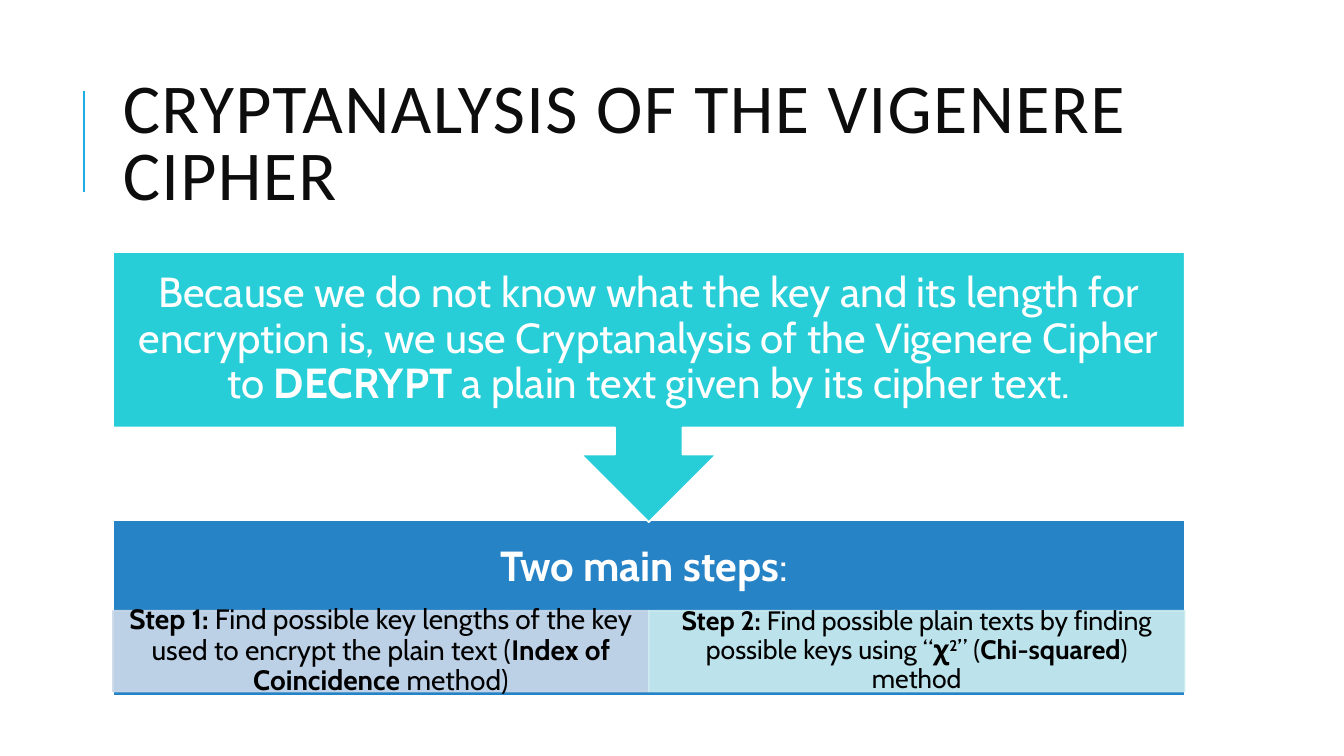
from lxml.etree import SubElement
from pptx import Presentation
from pptx.dml.color import RGBColor
from pptx.enum.shapes import MSO_CONNECTOR, MSO_SHAPE
from pptx.enum.text import MSO_ANCHOR, PP_ALIGN
from pptx.oxml.ns import qn
from pptx.util import Inches, Pt

COLORS = {
    "accent": "1CADE4", "title": "0D0D0D", "reason": "27CED7", "steps": "2683C6",
    "step1": "CDD9EA", "step2": "CDEDF0", "white": "FFFFFF", "black": "000000",
}
LEFT, WIDTH = 1.12, 10.63


def rgb(name):
    """Return a named colour."""
    return RGBColor.from_string(COLORS[name])


def write(shape, runs, size, color, insets, font="Cabin", align=PP_ALIGN.CENTER, spacing=0.9):
    """Fill a shape with one paragraph of (text, bold) runs; return the runs."""
    frame = shape.text_frame
    frame.word_wrap = True
    frame.vertical_anchor = MSO_ANCHOR.MIDDLE
    (frame.margin_left, frame.margin_top,
     frame.margin_right, frame.margin_bottom) = map(Inches, insets)
    paragraph = frame.paragraphs[0]
    paragraph.alignment = align
    paragraph.line_spacing = spacing
    paragraph.font.name = font
    paragraph.font.size = Pt(size)
    paragraph.font.color.rgb = rgb(color)
    written = []
    for text, bold in runs:
        run = paragraph.add_run()
        run.text = text
        run.font.bold = bold
        written.append(run)
    return written


def add_block(slide, kind, box, fill, line="white", alpha=None):
    """Add a flat filled shape, see-through to alpha percent if given."""
    block = slide.shapes.add_shape(kind, *map(Inches, box))
    block.shadow.inherit = False
    block.fill.solid()
    block.fill.fore_color.rgb = rgb(fill)
    block.line.color.rgb = rgb(line)
    block.line.width = Pt(1.25)
    if alpha:
        for color in block._element.spPr.iter(qn("a:srgbClr")):
            SubElement(color, qn("a:alpha")).set("val", str(alpha * 1000))
    return block


def add_title(slide, left, top, width, height):
    """Place the heading and the thin rule to its left."""
    rule_x = Inches(left - 0.29)
    rule = slide.shapes.add_connector(
        MSO_CONNECTOR.STRAIGHT, rule_x, Inches(top + 1.26), rule_x, Inches(top + 0.26))
    rule.line.color.rgb = rgb("accent")
    rule.line.width = Pt(1.5)
    SubElement(rule._element.spPr, qn("a:effectLst"))

    heading = slide.shapes.add_textbox(*map(Inches, (left, top, width, height)))
    runs = write(heading, [("CRYPTANALYSIS OF THE VIGENERE CIPHER", None)], 50, "title",
                 (0.1, 0.05, 0.1, 0.05), "Calibri", PP_ALIGN.LEFT, 0.8)
    runs[0]._r.get_or_add_rPr().set("spc", "100")


def add_steps(slide, left, top, width, height):
    """Place the steps panel with its two step boxes side by side."""
    step_top, step_height, step_width = 0.9, 0.8, width / 2
    panel = add_block(slide, MSO_SHAPE.RECTANGLE, (left, top, width, height), "steps")
    write(panel, [("Two main steps", True), (": ", False)], 30, "white",
          (0.23, 0.23, 0.23, height - 0.94 + 0.23))

    steps = [
        ("step1", 20, 0.16, [
            ("Step 1: ", True),
            ("Find possible key lengths of the key used to encrypt the plain text (", False),
            ("Index of Coincidence", True), (" method)", False)]),
        ("step2", 19, 0.15, [
            ("Step 2: ", True),
            ("Find possible plain texts by finding possible keys using “", False),
            ("χ", True), ("2", True), ("” (", False),
            ("Chi-squared", True), (") method", False)]),
    ]
    for index, (color, size, side, runs) in enumerate(steps):
        box = (left + index * step_width, top + step_top, step_width, step_height)
        step = add_block(slide, MSO_SHAPE.RECTANGLE, box, color, color, alpha=90)
        for run in write(step, runs, size, "black", (side, 0.03, side, 0.03)):
            if run.text == "2":
                run._r.get_or_add_rPr().set("baseline", "30000")


def add_reason(slide, left, top, width, height):
    """Place the callout whose arrow leads down to the steps."""
    reason = add_block(slide, MSO_SHAPE.DOWN_ARROW_CALLOUT, (left, top, width, height), "reason")
    write(reason, [
        ("Because we do not know what the key and its length for encryption is, "
         "we use Cryptanalysis of the Vigenere Cipher to ", False),
        ("DECRYPT ", True),
        ("a plain text given by its cipher text.", False),
    ], 30, "white", (0.23,) * 4)


presentation = Presentation()
presentation.slide_width, presentation.slide_height = Inches(13.33), Inches(7.5)
slide = presentation.slides.add_slide(presentation.slide_layouts[6])
add_title(slide, LEFT, 0.64, WIDTH, 1.64)
add_steps(slide, LEFT, 5.16, WIDTH, 1.74)
add_reason(slide, LEFT, 2.5, WIDTH, 2.68)
presentation.save("out.pptx")
